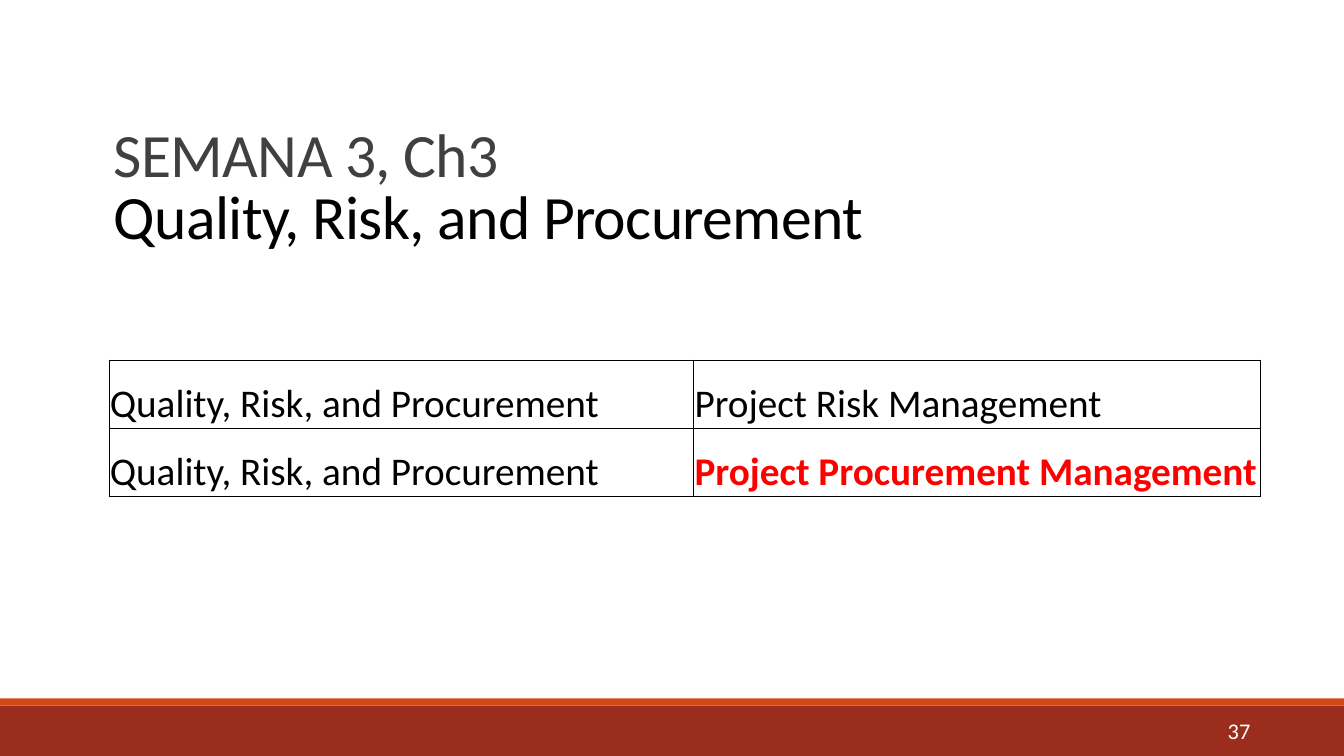
from lxml.etree import SubElement
from pptx import Presentation
from pptx.dml.color import RGBColor
from pptx.enum.shapes import MSO_SHAPE
from pptx.enum.text import MSO_ANCHOR, MSO_AUTO_SIZE, PP_ALIGN
from pptx.oxml.ns import qn
from pptx.util import Inches, Pt

COLORS = {
    "footer": "9B2D1F",
    "accent": "D34817",
    "week": "404040",
    "text": "000000",
    "highlight": "FF0000",
    "number": "FFFFFF",
}
TITLE_LINES = [
    ("SEMANA 3, Ch3", "week", 1.5),
    ("Quality, Risk, and Procurement", "text", 0.85),
]
TOPICS = [
    ("Quality, Risk, and Procurement", "Project Risk Management"),
    ("Quality, Risk, and Procurement", "Project Procurement Management"),
]
CURRENT_TOPIC = "Project Procurement Management"


def format_runs(paragraph, size, color, bold=False):
    """Apply the slide font to every run of a paragraph."""
    for run in paragraph.runs:
        run.font.name = "Calibri"
        run.font.size = Pt(size)
        run.font.bold = bold
        run.font.color.rgb = RGBColor.from_string(COLORS[color])


def add_bar(slide, color, left, top, width, height):
    """Draw one flat band of the footer."""
    bar = slide.shapes.add_shape(
        MSO_SHAPE.RECTANGLE, Inches(left), Inches(top), Inches(width), Inches(height)
    )
    bar.shadow.inherit = False
    bar.fill.solid()
    bar.fill.fore_color.rgb = RGBColor.from_string(COLORS[color])
    bar.line.fill.background()


def add_footer(slide, number, left, top, width, height):
    """Place the two footer bands and the slide number."""
    accent_height = 0.07
    add_bar(slide, "footer", left, top + accent_height, width, height - accent_height)
    add_bar(slide, "accent", left, top, width, accent_height)
    number_box = slide.shapes.add_textbox(
        Inches(left + 0.84), Inches(top + 0.14), Inches(11.66), Inches(0.35)
    )
    frame = number_box.text_frame
    frame.word_wrap = True
    frame.vertical_anchor = MSO_ANCHOR.MIDDLE
    frame.text = number
    frame.paragraphs[0].alignment = PP_ALIGN.RIGHT
    format_runs(frame.paragraphs[0], 16, "number")


def add_title(slide, left, top, width, height):
    """Fill the title placeholder with the week and the chapter name."""
    title = slide.shapes.title
    title.left, title.top = Inches(left), Inches(top)
    title.width, title.height = Inches(width), Inches(height)
    frame = title.text_frame
    frame.word_wrap = True
    frame.auto_size = MSO_AUTO_SIZE.NONE
    frame.vertical_anchor = MSO_ANCHOR.TOP
    frame.text = "\n".join(line for line, _, _ in TITLE_LINES)
    for paragraph, (_, color, spacing) in zip(frame.paragraphs, TITLE_LINES):
        paragraph.alignment = PP_ALIGN.LEFT
        paragraph.line_spacing = spacing
        format_runs(paragraph, 44, color)
        for run in paragraph.runs:
            run.font._element.set("spc", "-50")


def add_borders(cell):
    """Outline a cell with thin black lines."""
    properties = cell._tc.get_or_add_tcPr()
    for side in ("a:lnL", "a:lnR", "a:lnT", "a:lnB"):
        border = SubElement(properties, qn(side), w=str(Pt(0.5)))
        fill = SubElement(border, qn("a:solidFill"))
        SubElement(fill, qn("a:srgbClr"), val=COLORS["text"])


def add_topics(slide, left, top, width, height):
    """Build the table of chapters and topics."""
    table = slide.shapes.add_table(
        len(TOPICS), 2, Inches(left), Inches(top), Inches(width), Inches(height)
    ).table
    table.first_row = table.horz_banding = False
    chapter_width = 5.8
    table.columns[0].width = Inches(chapter_width)
    table.columns[1].width = Inches(width - chapter_width)
    for row, topics in zip(table.rows, TOPICS):
        for cell, topic in zip(row.cells, topics):
            current = topic == CURRENT_TOPIC
            cell.text_frame.text = topic
            cell.vertical_anchor = MSO_ANCHOR.BOTTOM
            cell.margin_left = cell.margin_right = cell.margin_top = Inches(0.01)
            cell.margin_bottom = 0
            add_borders(cell)
            cell.fill.background()
            color = "highlight" if current else "text"
            format_runs(cell.text_frame.paragraphs[0], 28, color, current)


def main():
    """Create and save the slide."""
    presentation = Presentation()
    presentation.slide_width, presentation.slide_height = Inches(13.33), Inches(7.5)
    slide = presentation.slides.add_slide(presentation.slide_layouts[5])
    add_footer(slide, "37", 0, 6.93, 13.33, 0.57)
    add_title(slide, 1.03, 0.73, 11.29, 2.03)
    add_topics(slide, 1.08, 3.57, 11.42, 1.35)
    presentation.save("out.pptx")


if __name__ == "__main__":
    main()
